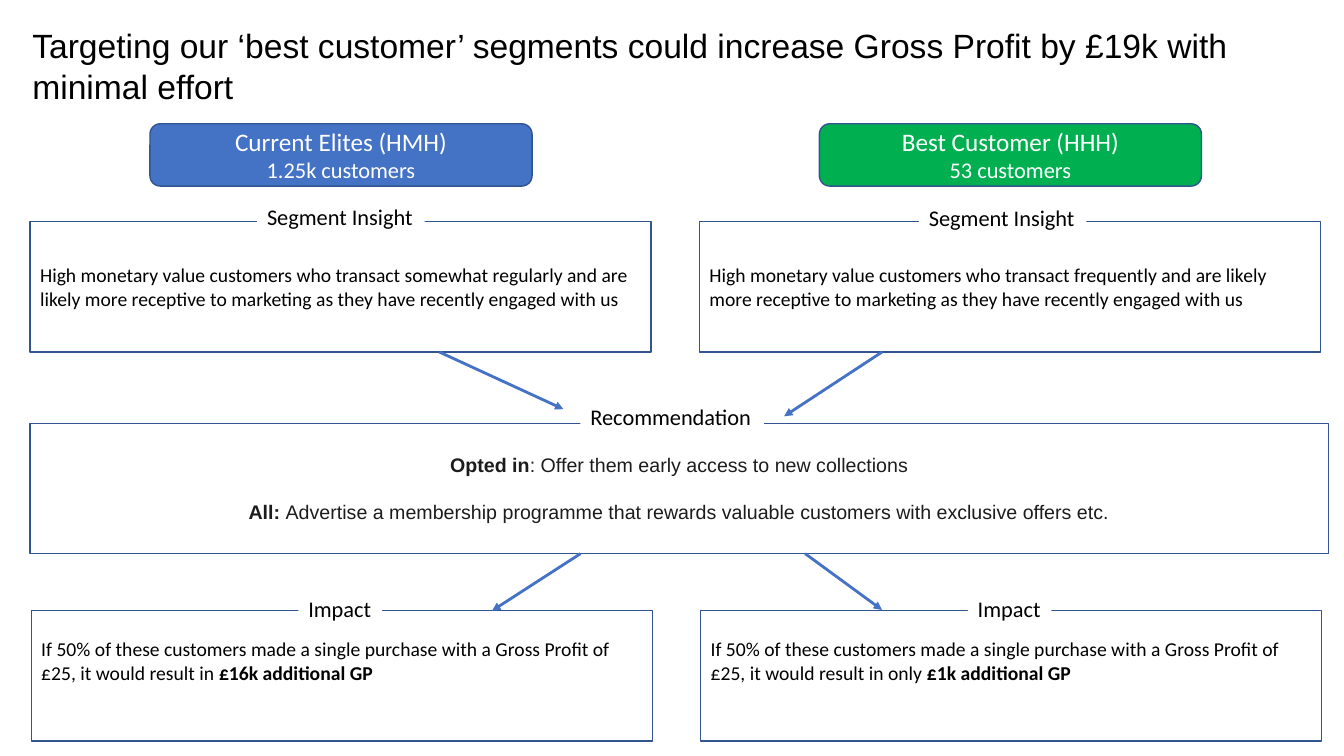
from dataclasses import dataclass

from pptx import Presentation
from pptx import util as u
from pptx.dml.color import RGBColor
from pptx.enum import shapes, text
from pptx.oxml import parse_xml
from pptx.oxml.ns import nsdecls


@dataclass(frozen=True)
class Theme:
    blue: str = "4472C4"
    green: str = "00B050"
    edge: str = "325491"
    white: str = "FFFFFF"
    black: str = "000000"
    charcoal: str = "1D1C1D"
    body_font: str = "Calibri"
    accent_font: str = "Arial"
    title_size: int = 24
    badge_size: int = 18
    label_size: int = 16
    body_size: int = 14


def apply(target, formats):
    for name, value in formats.items():
        setattr(target, name, value)


class SegmentSlide:
    def __init__(self, deck, theme):
        self.theme = theme
        self.slide = deck.slides.add_slide(deck.slide_layouts[5])

    def add_words(self, paragraph, words, size, color, font=None, bold=False):
        run = paragraph.add_run()
        run.text = words
        apply(run.font, {"size": u.Pt(size), "name": font or self.theme.body_font, "bold": bold})
        run.font.color.rgb = RGBColor.from_string(color)

    def title(self, words, area):
        heading = self.slide.shapes.title
        apply(heading, dict(zip(("left", "top", "width", "height"), map(u.Cm, area))))
        frame = heading.text_frame
        apply(frame, {"word_wrap": True, "vertical_anchor": text.MSO_ANCHOR.TOP,
                      "auto_size": text.MSO_AUTO_SIZE.NONE})
        frame.paragraphs[0].alignment = text.PP_ALIGN.LEFT
        self.add_words(frame.paragraphs[0], words, self.theme.title_size,
                       self.theme.black, self.theme.accent_font)

    def outline(self, kind, area, fill=None):
        panel = self.slide.shapes.add_shape(kind, *map(u.Cm, area))
        panel.shadow.inherit = False
        if fill:
            panel.fill.solid()
            panel.fill.fore_color.rgb = RGBColor.from_string(fill)
        else:
            panel.fill.background()
        panel.line.color.rgb = RGBColor.from_string(self.theme.edge)
        panel.line.width = u.Pt(1)
        apply(panel.text_frame, {"word_wrap": True, "vertical_anchor": text.MSO_ANCHOR.MIDDLE})
        return panel.text_frame

    def badge(self, segment, customers, area, fill):
        frame = self.outline(shapes.MSO_SHAPE.ROUNDED_RECTANGLE, area, fill)
        lines = ((frame.paragraphs[0], segment, self.theme.badge_size),
                 (frame.add_paragraph(), customers, self.theme.label_size))
        for paragraph, words, size in lines:
            paragraph.alignment = text.PP_ALIGN.CENTER
            self.add_words(paragraph, words, size, self.theme.white)

    def box(self, paragraphs, area, color, font=None, align=text.PP_ALIGN.LEFT, gap=0, bottom=0.13):
        frame = self.outline(shapes.MSO_SHAPE.RECTANGLE, area)
        frame.margin_bottom = u.Cm(bottom)
        for index, pieces in enumerate(paragraphs):
            paragraph = frame.add_paragraph() if index else frame.paragraphs[0]
            apply(paragraph, {"alignment": align, "space_before": u.Pt(gap if index else 0)})
            for words, bold in pieces:
                self.add_words(paragraph, words, self.theme.body_size, color, font, bold)

    def label(self, words, area):
        tag = self.slide.shapes.add_textbox(*map(u.Cm, area))
        tag.fill.solid()
        tag.fill.fore_color.rgb = RGBColor.from_string(self.theme.white)
        tag.text_frame.word_wrap = False
        self.add_words(tag.text_frame.paragraphs[0], words, self.theme.label_size, self.theme.black)

    def arrow(self, *ends):
        link = self.slide.shapes.add_connector(shapes.MSO_CONNECTOR.STRAIGHT, *map(u.Cm, ends))
        link.line.color.rgb = RGBColor.from_string(self.theme.blue)
        link.line.width = u.Pt(2)
        properties = link._element.spPr
        properties.ln.append(parse_xml(f'<a:tailEnd {nsdecls("a")} type="triangle"/>'))
        properties.append(parse_xml(f'<a:effectLst {nsdecls("a")}/>'))


def main():
    deck = Presentation()
    apply(deck, {"slide_width": u.Cm(33.87), "slide_height": u.Cm(19.05)})
    theme = Theme()
    page = SegmentSlide(deck, theme)
    page.title("Targeting our ‘best customer’ segments could increase Gross Profit "
               "by £19k with minimal effort", (0.56, 0.51, 32.72, 2.31))

    column_step, box_width, box_height, label_height = 16.87, 15.65, 3.28, 0.94
    segments = (
        ("Current Elites (HMH)", "1.25k customers", theme.blue,
         "somewhat regularly", "", "£16k", (6.48, 5)),
        ("Best Customer (HHH)", "53 customers", theme.green,
         "frequently", "only ", "£1k", (23.16, 5.03)),
    )
    for column, (segment, customers, fill, habit, limit, profit, insight_at) in enumerate(segments):
        shift = column * column_step
        page.badge(segment, customers, (3.78 + shift, 3.12, 9.63, 1.57), fill)
        insight = (f"High monetary value customers who transact {habit} and are likely "
                   "more receptive to marketing as they have recently engaged with us")
        page.box([[(insight, False)]], (0.76 + shift, 5.59, box_width, box_height), theme.black)
        page.label("Segment Insight", (*insight_at, 4.22, label_height))
        impact = ("If 50% of these customers made a single purchase with a Gross Profit "
                  f"of £25, it would result in {limit}")
        page.box([[(impact, False), (f"{profit} additional GP", True)]],
                 (0.79 + shift, 15.39, box_width, box_height), theme.black, bottom=0.9)
        page.label("Impact", (7.52 + shift, 14.88, 2.11, label_height))

    page.box([[("Opted in", True), (": Offer them early access to new collections", False)],
              [("All: ", True), ("Advertise a membership programme that rewards valuable "
                                 "customers with exclusive offers etc.", False)]],
             (0.76, 10.67, 32.72, box_height), theme.charcoal, theme.accent_font,
             text.PP_ALIGN.CENTER, gap=17)
    page.label("Recommendation", (14.63, 10.03, 4.62, label_height))

    for ends in ((11.07, 8.87, 14.2, 10.31), (22.23, 8.87, 19.76, 10.49),
                 (14.63, 13.95, 12.4, 15.39), (20.29, 13.95, 22.23, 15.37)):
        page.arrow(*ends)

    deck.save("out.pptx")


if __name__ == "__main__":
    main()
